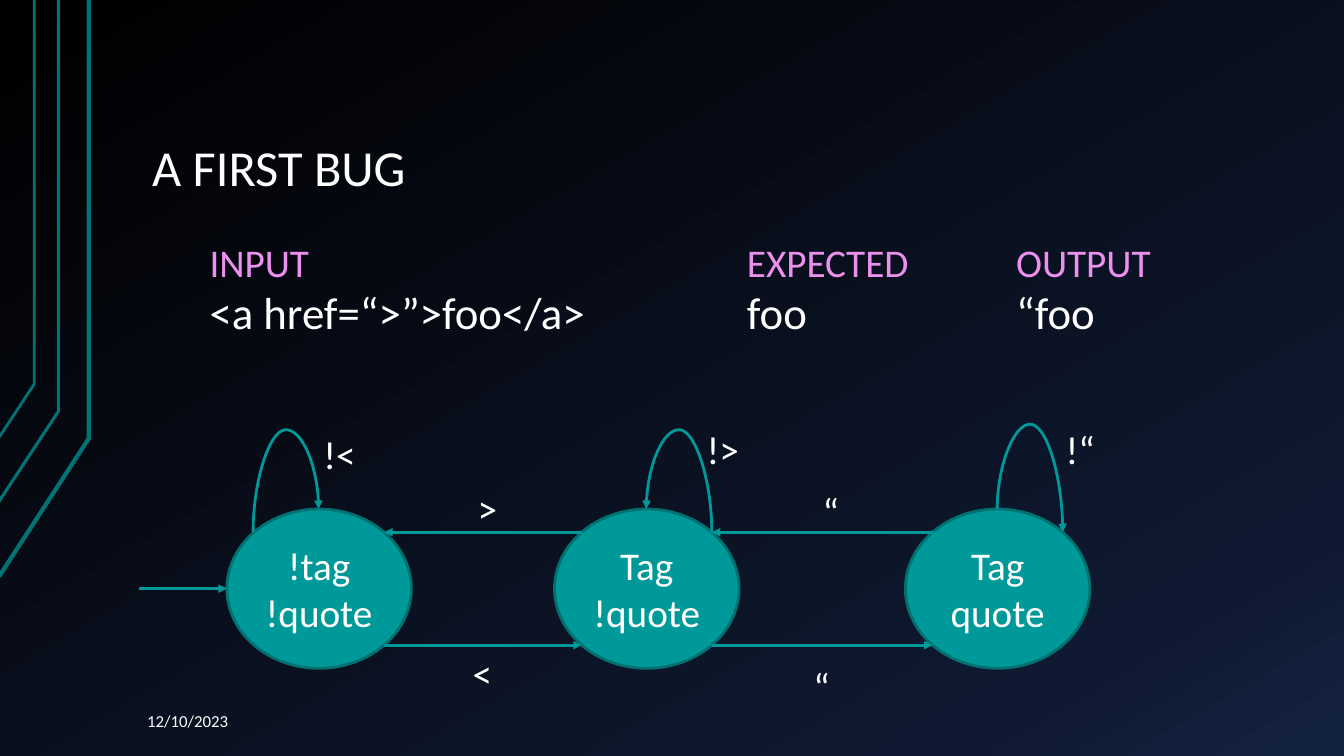
from copy import deepcopy

from lxml.etree import SubElement
from pptx import Presentation
from pptx.dml.color import RGBColor
from pptx.enum.shapes import MSO_CONNECTOR, MSO_SHAPE
from pptx.enum.text import MSO_ANCHOR, PP_ALIGN
from pptx.oxml.ns import qn
from pptx.util import Inches, Pt

WHITE = RGBColor(0xFF, 0xFF, 0xFF)
PINK = RGBColor(0xEC, 0x90, 0xEE)
TEAL = RGBColor(0x00, 0x99, 0x99)
OUTLINE = RGBColor(0x00, 0x71, 0x71)
STRIPE = RGBColor(0x00, 0x73, 0x73)
BACKGROUND = [
    (0, RGBColor(0x00, 0x00, 0x00)),
    (0.85, RGBColor(0x0F, 0x19, 0x31)),
    (1, RGBColor(0x14, 0x22, 0x42)),
]
STATE_W, STATE_H, STATE_TOP = 1.83, 1.58, 5.05
UPPER, LOWER = 5.28, 6.4
LOOP_W, LOOP_H, LOOP_TOP = 0.23, 0.65, 4.84


def paint_background(s):
    """Fill the slide with a three-stop diagonal gradient."""
    fill = s.background.fill
    fill.gradient()
    fill.gradient_angle = 300
    first = fill.gradient_stops[0]._gs
    first.addnext(deepcopy(first))
    for stop, (position, color) in zip(fill.gradient_stops, BACKGROUND):
        stop.position = position
        stop.color.rgb = color


def write(tf, lines, size=28, color=WHITE, align=PP_ALIGN.LEFT, spacing=None, tabs=()):
    """Write one paragraph per line; a line is text or (text, size, color)."""
    for i, line in enumerate(lines):
        text, pt, rgb = (line, size, color) if isinstance(line, str) else line
        p = tf.paragraphs[0] if i == 0 else tf.add_paragraph()
        if tabs:
            tab_list = SubElement(p._p.get_or_add_pPr(), qn("a:tabLst"))
            for pos in tabs:
                SubElement(tab_list, qn("a:tab"), pos=str(Inches(pos)), algn="l")
        p.alignment = align
        if spacing:
            p.line_spacing = spacing
        r = p.add_run()
        r.text = text
        r.font.name = "Calibri"
        r.font.size = Pt(pt)
        r.font.color.rgb = rgb


def add_text(s, x, y, w, h, lines, wrap=False, anchor=MSO_ANCHOR.TOP, inset=(0.1, 0.05), **fmt):
    """Add a text box."""
    tf = s.shapes.add_textbox(Inches(x), Inches(y), Inches(w), Inches(h)).text_frame
    tf.word_wrap = wrap
    tf.vertical_anchor = anchor
    tf.margin_left = tf.margin_right = Inches(inset[0])
    tf.margin_top = tf.margin_bottom = Inches(inset[1])
    write(tf, lines, **fmt)


def add_stripe(s, points, width):
    """Draw an open decorative outline through the points."""
    (x, y), *rest = [(Inches(a), Inches(b)) for a, b in points]
    builder = s.shapes.build_freeform(x, y)
    builder.add_line_segments(rest, close=False)
    sp = builder.convert_to_shape()
    sp.shadow.inherit = False
    sp.fill.background()
    sp.line.color.rgb = STRIPE
    sp.line.width = Pt(width)


def add_state(s, x, lines):
    """Draw one state of the automaton."""
    sp = s.shapes.add_shape(
        MSO_SHAPE.OVAL, Inches(x), Inches(STATE_TOP), Inches(STATE_W), Inches(STATE_H)
    )
    sp.shadow.inherit = False
    sp.fill.solid()
    sp.fill.fore_color.rgb = TEAL
    sp.line.color.rgb = OUTLINE
    sp.line.width = Pt(2)
    tf = sp.text_frame
    tf.word_wrap = True
    tf.vertical_anchor = MSO_ANCHOR.MIDDLE
    write(tf, lines, align=PP_ALIGN.CENTER)


def add_arrow(s, x1, y1, x2, y2, kind=MSO_CONNECTOR.STRAIGHT):
    """Draw a transition arrow and return it."""
    c = s.shapes.add_connector(kind, Inches(x1), Inches(y1), Inches(x2), Inches(y2))
    c.line.color.rgb = TEAL
    c.line.width = Pt(2)
    SubElement(c.line._get_or_add_ln(), qn("a:tailEnd"), type="triangle")
    SubElement(c._element.spPr, qn("a:effectLst"))
    return c


def add_loop(s, x, angle, flip_h, flip_v, bend):
    """Draw a curved arrow from a state back to itself."""
    x1, x2 = (x + LOOP_W, x) if flip_h else (x, x + LOOP_W)
    y1, y2 = (LOOP_TOP + LOOP_H, LOOP_TOP) if flip_v else (LOOP_TOP, LOOP_TOP + LOOP_H)
    c = add_arrow(s, x1, y1, x2, y2, MSO_CONNECTOR.CURVE)
    spPr = c._element.spPr
    spPr.find(qn("a:xfrm")).set("rot", str(angle * 60000))
    guides = spPr.find(qn("a:prstGeom")).find(qn("a:avLst"))
    SubElement(guides, qn("a:gd"), name="adj1", fmla=f"val {round(bend * 100000)}")


def main():
    """Build the slide."""
    prs = Presentation()
    prs.slide_width, prs.slide_height = Inches(13.33), Inches(7.5)
    s = prs.slides.add_slide(prs.slide_layouts[6])
    paint_background(s)
    for points, width in [
        ([(-0.01, 5.72), (0.88, 4.35), (0.88, 0)], 3),
        ([(-0.02, 4.99), (0.58, 4.08), (0.58, 0)], 2.25),
        ([(-0.01, 4.34), (0.34, 3.81), (0.34, 0)], 2),
    ]:
        add_stripe(s, points, width)

    add_text(s, 1.38, 0.69, 11.33, 1.34, ["A FIRST BUG"], wrap=True, size=36,
             anchor=MSO_ANCHOR.BOTTOM, inset=(0.13, 0.07), spacing=0.9)
    add_text(s, 1.98, 2.31, 9.63, 1.58,
             [("INPUT\tEXPECTED\tOUTPUT", 28, PINK),
              ("<a href=“>”>foo</a>\tfoo\t“foo", 32, WHITE)], tabs=(5.33, 8))

    for x, lines in [
        (2.25, ["!tag", "!quote"]),
        (5.5, ["Tag", "!quote"]),
        (8.98, ["Tag", "quote"]),
    ]:
        add_state(s, x, lines)
    for x1, x2, y in [
        (1.38, 2.25, STATE_TOP + STATE_H / 2),
        (5.77, 3.81, UPPER),
        (3.81, 5.77, LOWER),
        (9.25, 7.06, UPPER),
        (7.06, 9.25, LOWER),
    ]:
        add_arrow(s, x1, y, x2, y)
    add_loop(s, 2.72, 90, True, True, 4.42)
    add_loop(s, 6.62, 270, False, True, 4.42)
    add_loop(s, 10.1, 270, True, False, -3.66)

    for x, y, w, label in [
        (4.59, 6.39, 0.4, "<"),
        (4.64, 4.76, 0.4, ">"),
        (3.11, 4.22, 0.53, "!<"),
        (6.91, 4.17, 0.53, "!>"),
        (8.06, 4.79, 0.37, "“"),
        (10.47, 4.17, 0.49, "!“"),
        (7.97, 6.52, 0.37, "“"),
    ]:
        add_text(s, x, y, w, 0.57, [label])
    add_text(s, 1.33, 6.95, 2.44, 0.4, ["12/10/2023"], wrap=True, size=12,
             anchor=MSO_ANCHOR.MIDDLE, inset=(0.13, 0.07))
    prs.save("out.pptx")


if __name__ == "__main__":
    main()
